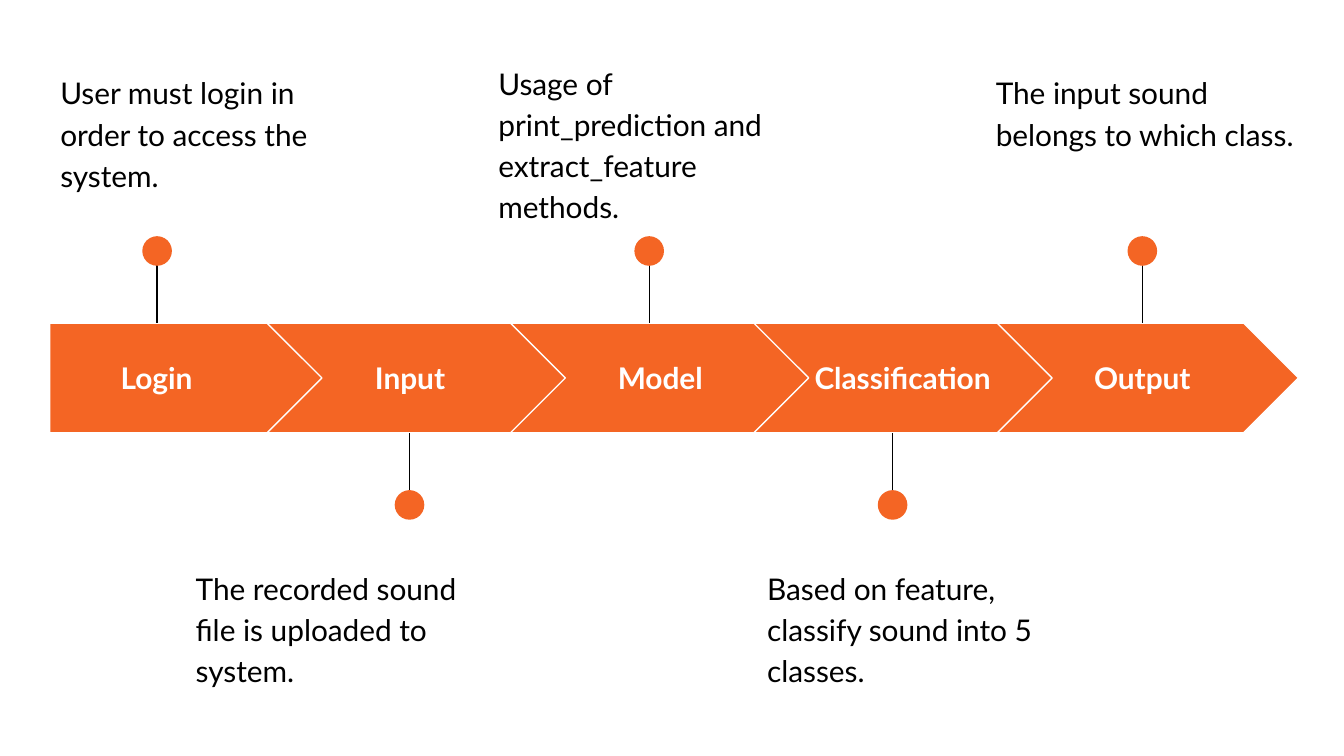
from dataclasses import dataclass

from lxml import etree
from pptx import Presentation
from pptx.dml.color import RGBColor
from pptx.enum.shapes import MSO_CONNECTOR, MSO_SHAPE
from pptx.enum.text import MSO_ANCHOR, PP_ALIGN
from pptx.oxml.ns import qn
from pptx.util import Cm, Pt

STRAIGHT = MSO_CONNECTOR.STRAIGHT
PENTAGON, CHEVRON, OVAL = MSO_SHAPE.PENTAGON, MSO_SHAPE.CHEVRON, MSO_SHAPE.OVAL
CENTER, LEFT = PP_ALIGN.CENTER, PP_ALIGN.LEFT
MIDDLE, TOP = MSO_ANCHOR.MIDDLE, MSO_ANCHOR.TOP


@dataclass(frozen=True)
class Theme:
    accent: RGBColor = RGBColor(0xF4, 0x65, 0x24)
    dark: RGBColor = RGBColor(0, 0, 0)
    light: RGBColor = RGBColor(0xFF, 0xFF, 0xFF)
    font: str = "Lato"
    text_size: Pt = Pt(16)
    line_width: Pt = Pt(0.75)


THEME = Theme()


@dataclass(frozen=True)
class Step:
    """One process step; positions are in centimetres."""
    name: str
    detail: str
    label_left: float
    label_width: float
    pin_x: float
    detail_left: float
    detail_top: float
    detail_height: float = 2.51


STEPS = [
    Step("Login", "User must login in order to access the system.",
         0.94, 4.04, 2.97, 0.89, 1.07),
    Step("Input", "The recorded sound file is uploaded to system.",
         5.92, 3.66, 7.74, 3.45, 10.44),
    Step("Model", "Usage of print_prediction and extract_feature methods.",
         10.46, 4.04, 12.27, 9.17, 0.89, 3.4),
    Step("Classification", "Based on feature, classify sound into 5 classes.",
         15.04, 4.04, 16.87, 14.25, 10.44),
    Step("Output", "The input sound belongs to which class.",
         19.76, 3.66, 21.59, 18.57, 1.07),
]

# Arrow band: steps follow at an equal pitch, the first has a flat left end
BAND_LEFT, BAND_TOP, BAND_HEIGHT = 0.45, 6.11, 2.07
STEP_PITCH, STEP_WIDTH, FLAT_TRIM = 4.6, 5.69, 0.49
BAND_MIDDLE = BAND_TOP + BAND_HEIGHT / 2
LABEL_HEIGHT = 1.3
DETAIL_WIDTH = 6.22

# Pins reach equally far above and below the band
PIN_REACH, DOT_SIZE = 2.4, 0.56


def add_arrow(slide, index):
    trim = FLAT_TRIM if index == 0 else 0
    arrow = slide.shapes.add_shape(
        PENTAGON if index == 0 else CHEVRON,
        Cm(BAND_LEFT + index * STEP_PITCH + trim), Cm(BAND_TOP),
        Cm(STEP_WIDTH - trim), Cm(BAND_HEIGHT))
    arrow.shadow.inherit = False
    arrow.fill.solid()
    arrow.fill.fore_color.rgb = THEME.accent
    arrow.line.color.rgb = THEME.light
    arrow.line.width = THEME.line_width


def add_text(slide, text, left, top, width, height, color,
             align=LEFT, anchor=TOP, bold=False):
    box = slide.shapes.add_textbox(Cm(left), Cm(top), Cm(width), Cm(height))
    frame = box.text_frame
    frame.word_wrap = True
    frame.vertical_anchor = anchor
    frame.margin_left = frame.margin_right = Cm(0.25)
    frame.margin_top = frame.margin_bottom = Cm(0.25)
    paragraph = frame.paragraphs[0]
    paragraph.alignment = align
    run = paragraph.add_run()
    run.text = text
    run.font.name = THEME.font
    run.font.size = THEME.text_size
    run.font.bold = bold
    run.font.color.rgb = color
    return paragraph


def add_label(slide, step):
    add_text(slide, step.name, step.label_left, BAND_MIDDLE - LABEL_HEIGHT / 2,
             step.label_width, LABEL_HEIGHT, THEME.light, CENTER, MIDDLE, bold=True)


def add_detail(slide, step):
    paragraph = add_text(slide, step.detail, step.detail_left, step.detail_top,
                         DETAIL_WIDTH, step.detail_height, THEME.dark)
    paragraph.line_spacing = 1.15
    paragraph.space_after = Pt(16)


def add_pin(slide, x, direction):
    """Direction is -1 for a pin above the band and 1 for one below."""
    pin = slide.shapes.add_group_shape()
    dot_y = BAND_MIDDLE + direction * PIN_REACH
    edge_y = BAND_MIDDLE + direction * BAND_HEIGHT / 2
    stem = pin.shapes.add_connector(STRAIGHT, Cm(x), Cm(dot_y), Cm(x), Cm(edge_y))
    stem.line.color.rgb = THEME.dark
    stem.line.width = THEME.line_width
    etree.SubElement(stem._element.spPr, qn("a:effectLst"))

    dot = pin.shapes.add_shape(OVAL, Cm(x - DOT_SIZE / 2), Cm(dot_y - DOT_SIZE / 2),
                               Cm(DOT_SIZE), Cm(DOT_SIZE))
    dot.shadow.inherit = False
    dot.fill.solid()
    dot.fill.fore_color.rgb = THEME.accent
    dot.line.fill.background()


def main():
    deck = Presentation()
    deck.slide_width, deck.slide_height = Cm(25.4), Cm(14.29)
    slide = deck.slides.add_slide(deck.slide_layouts[6])  # blank: no title

    # Each step: arrow, label, pin and detail, alternately above and below
    for index, step in enumerate(STEPS):
        add_arrow(slide, index)
        add_label(slide, step)
        add_pin(slide, step.pin_x, -1 if index % 2 == 0 else 1)
        add_detail(slide, step)

    deck.save("out.pptx")


if __name__ == "__main__":
    main()
